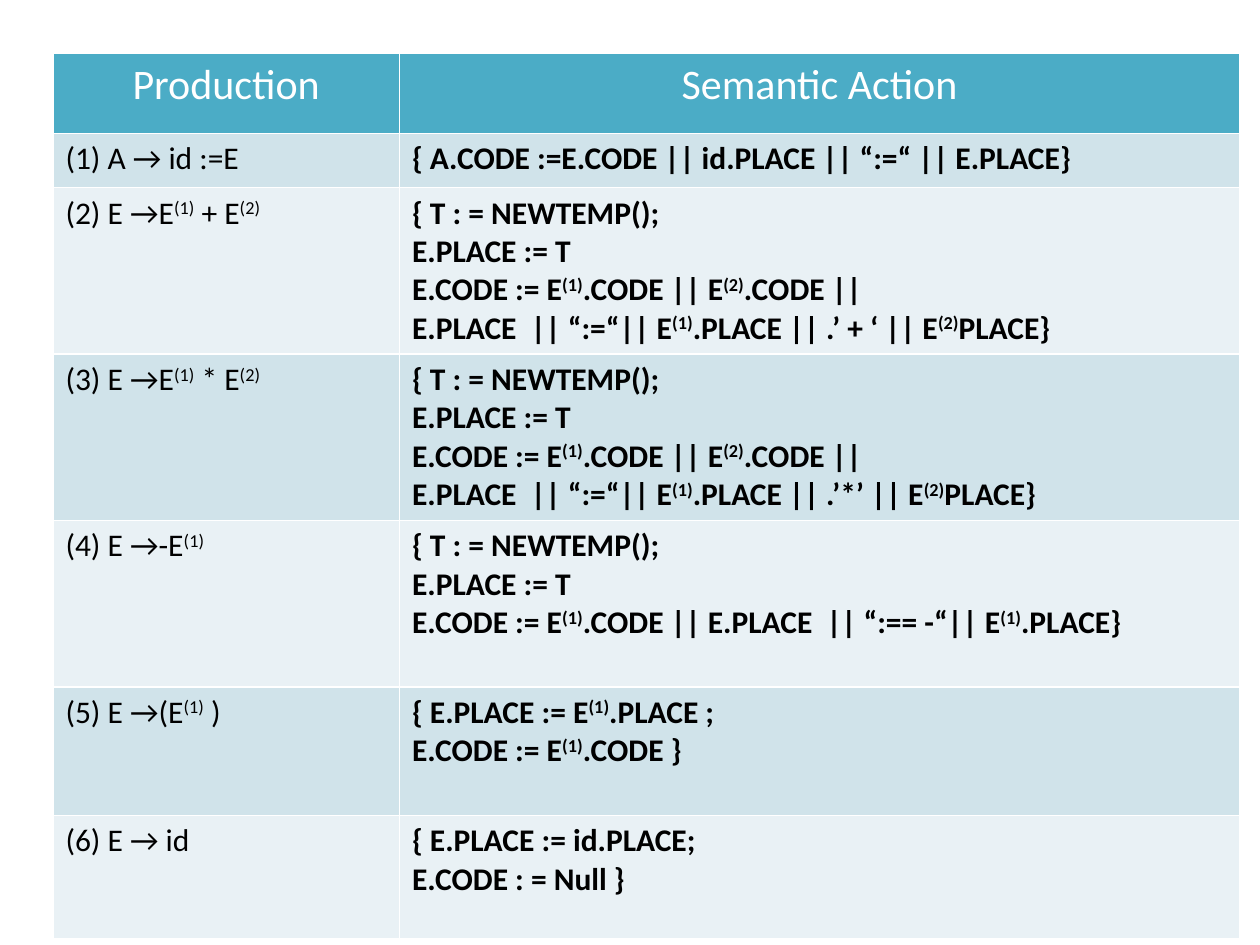
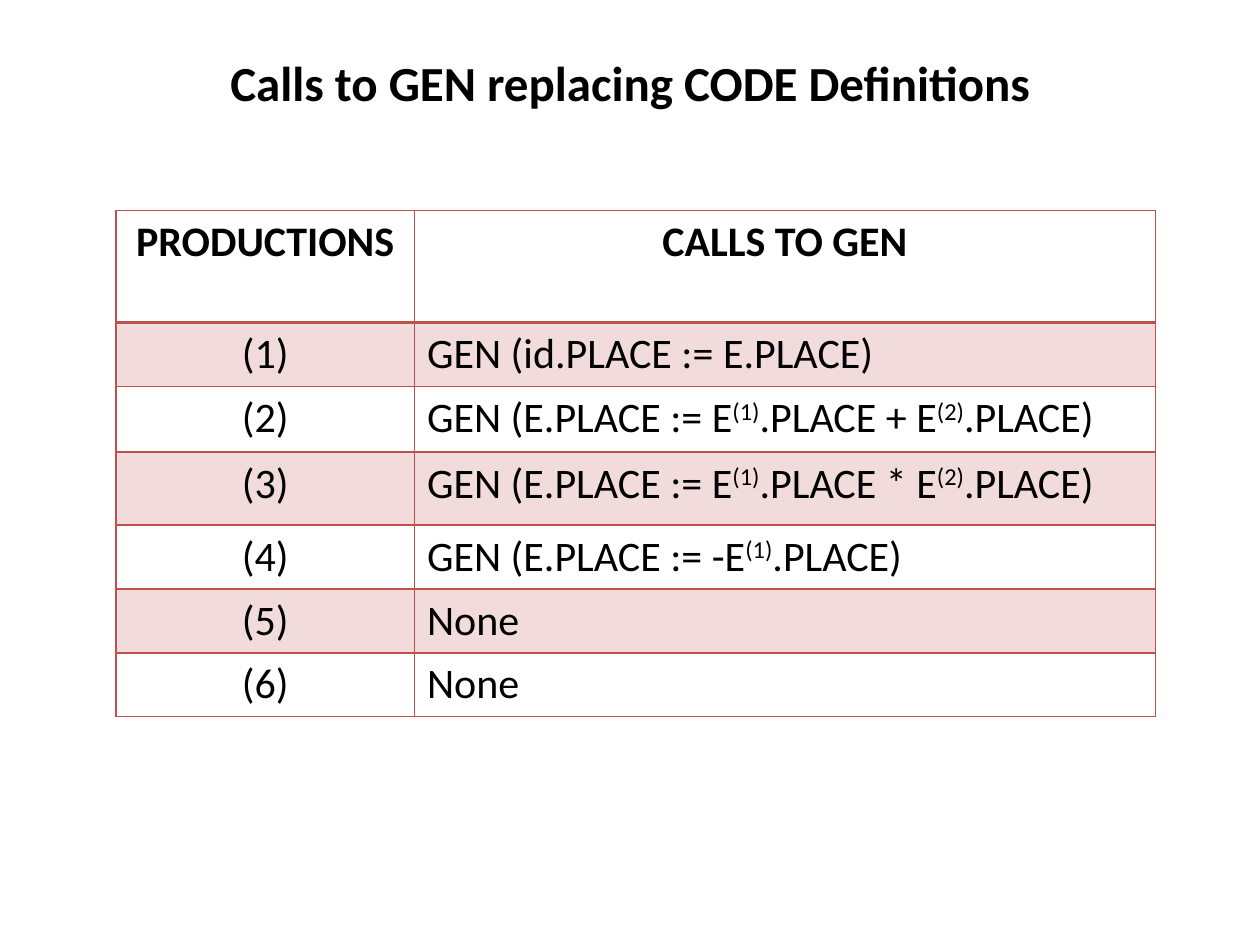
from dataclasses import dataclass

import pptx
import pptx.dml.color
import pptx.enum.text
import pptx.oxml.ns
import pptx.slide
import pptx.table
import pptx.text.text
import pptx.util
from lxml import etree

RGBColor = pptx.dml.color.RGBColor
Align = pptx.enum.text.PP_ALIGN

WHITE = RGBColor(0xFF, 0xFF, 0xFF)
BLACK = RGBColor(0x00, 0x00, 0x00)
TEAL = RGBColor(0x4B, 0xAC, 0xC6)
TEAL_BAND = RGBColor(0xD0, 0xE3, 0xEA)
TEAL_PALE = RGBColor(0xE9, 0xF1, 0xF5)
RED = RGBColor(0xC0, 0x50, 0x4D)
RED_BAND = RGBColor(0xF2, 0xDC, 0xDB)

FONT = "Calibri"
EMU_PER_PX = 9144
BLANK_LAYOUT = 6
TITLE_ONLY_LAYOUT = 5


@dataclass(frozen=True)
class TableStyle:
    header_fill: RGBColor
    header_color: RGBColor
    header_bold: bool
    bands: tuple[RGBColor, RGBColor]
    border: RGBColor
    header_rule: int
    body_size: int
    key_align: Align
    value_bold: bool


@dataclass(frozen=True)
class Grid:
    left: int
    top: int
    columns: tuple[int, ...]
    rows: tuple[int, ...]
    cells: tuple[tuple[str, str], ...]
    style: TableStyle


ACTION_STYLE = TableStyle(TEAL, WHITE, False, (TEAL_BAND, TEAL_PALE), WHITE, 1, 18, Align.LEFT, True)
CALL_STYLE = TableStyle(WHITE, BLACK, True, (RED_BAND, WHITE), RED, 2, 24, Align.CENTER, False)

NEW_TEMP = "{ T : = NEWTEMP();\nE.PLACE := T\n"


def binary_action(operator: str) -> str:
    return (
        NEW_TEMP
        + "E.CODE := E^(1).CODE || E^(2).CODE ||\n"
        + f"E.PLACE  || “:=“|| E^(1).PLACE || .{operator} || E^(2)PLACE}}"
    )


ACTIONS = Grid(
    42, 42, (275, 667), (64, 43, 132, 132, 132, 102, 98),
    (
        ("Production", "Semantic Action"),
        ("(1) A → id :=E", "{ A.CODE :=E.CODE || id.PLACE || “:=“ || E.PLACE}"),
        ("(2) E →E^(1) + E^(2)", binary_action("’ + ‘")),
        ("(3) E →E^(1) * E^(2)", binary_action("’*’")),
        ("(4) E →-E^(1)", NEW_TEMP + "E.CODE := E^(1).CODE || E.PLACE  || “:== -“|| E^(1).PLACE}"),
        ("(5) E →(E^(1) )", "{ E.PLACE := E^(1).PLACE ;\nE.CODE := E^(1).CODE }"),
        ("(6) E → id", "{ E.PLACE := id.PLACE;\nE.CODE : = Null }"),
    ),
    ACTION_STYLE,
)

GEN_CALLS = (
    "GEN (id.PLACE := E.PLACE)",
    "GEN (E.PLACE := E^(1).PLACE + E^(2).PLACE)",
    "GEN (E.PLACE := E^(1).PLACE * E^(2).PLACE)",
    "GEN (E.PLACE := -E^(1).PLACE)",
    "None",
    "None",
)

CALLS = Grid(
    92, 167, (237, 588), (89, 50, 52, 58, 50, 50, 50),
    (("PRODUCTIONS", "CALLS TO GEN"),)
    + tuple((f"({number})", call) for number, call in enumerate(GEN_CALLS, 1)),
    CALL_STYLE,
)


def px(length: int) -> pptx.util.Emu:
    return pptx.util.Emu(length * EMU_PER_PX)


def split_superscripts(text: str) -> list[tuple[str, bool]]:
    first, *rest = text.split("^")
    pieces = [(first, False)]
    for part in rest:
        index, bracket, tail = part.partition(")")
        pieces += [(index + bracket, True), (tail, False)]
    return [piece for piece in pieces if piece[0]]


def write_text(
    frame: pptx.text.text.TextFrame,
    text: str,
    *,
    size: int,
    color: RGBColor = BLACK,
    bold: bool = False,
    align: Align = Align.LEFT,
) -> None:
    for number, line in enumerate(text.split("\n")):
        para = frame.add_paragraph() if number else frame.paragraphs[0]
        para.alignment = align
        for piece, raised in split_superscripts(line):
            span = para.add_run()
            span.text = piece
            span.font.name = FONT
            span.font.size = pptx.util.Pt(size)
            span.font.bold = bold
            span.font.color.rgb = color
            if raised:
                span.font._element.set("baseline", "30000")


def draw_borders(cell: pptx.table._Cell, color: RGBColor, top: int, bottom: int) -> None:
    properties = cell._tc.get_or_add_tcPr()
    for side, width in (("L", 1), ("R", 1), ("T", top), ("B", bottom)):
        line = etree.SubElement(
            properties, pptx.oxml.ns.qn(f"a:ln{side}"), w=str(pptx.util.Pt(width))
        )
        fill = etree.SubElement(line, pptx.oxml.ns.qn("a:solidFill"))
        etree.SubElement(fill, pptx.oxml.ns.qn("a:srgbClr"), val=str(color))


def fill_cell(cell: pptx.table._Cell, text: str, row: int, column: int, style: TableStyle) -> None:
    draw_borders(
        cell,
        style.border,
        top=style.header_rule if row == 1 else 1,
        bottom=style.header_rule if row == 0 else 1,
    )
    cell.fill.solid()
    if row == 0:
        cell.fill.fore_color.rgb = style.header_fill
        write_text(
            cell.text_frame, text, size=24, color=style.header_color,
            bold=style.header_bold, align=Align.CENTER,
        )
    else:
        cell.fill.fore_color.rgb = style.bands[(row - 1) % 2]
        write_text(
            cell.text_frame, text, size=style.body_size,
            bold=style.value_bold and column == 1,
            align=Align.LEFT if column else style.key_align,
        )


def draw_table(slide: pptx.slide.Slide, grid: Grid) -> None:
    table = slide.shapes.add_table(
        len(grid.rows), len(grid.columns), px(grid.left), px(grid.top),
        px(sum(grid.columns)), px(sum(grid.rows)),
    ).table
    for column, width in zip(table.columns, grid.columns):
        column.width = px(width)
    for row, height in zip(table.rows, grid.rows):
        row.height = px(height)
    for row_index, texts in enumerate(grid.cells):
        for column_index, text in enumerate(texts):
            fill_cell(table.cell(row_index, column_index), text, row_index, column_index, grid.style)


def draw_title(slide: pptx.slide.Slide, text: str) -> None:
    title = slide.shapes.title
    title.left, title.top, title.width, title.height = px(50), px(30), px(900), px(70)
    title.text_frame.vertical_anchor = pptx.enum.text.MSO_ANCHOR.MIDDLE
    write_text(title.text_frame, text, size=28, bold=True, align=Align.CENTER)


def main() -> None:
    deck = pptx.Presentation()
    deck.slide_width, deck.slide_height = px(1000), px(750)

    actions_page = deck.slides.add_slide(deck.slide_layouts[BLANK_LAYOUT])
    draw_table(actions_page, ACTIONS)

    calls_page = deck.slides.add_slide(deck.slide_layouts[TITLE_ONLY_LAYOUT])
    draw_title(calls_page, "Calls to GEN replacing CODE Definitions")
    draw_table(calls_page, CALLS)

    deck.save("out.pptx")


if __name__ == "__main__":
    main()
